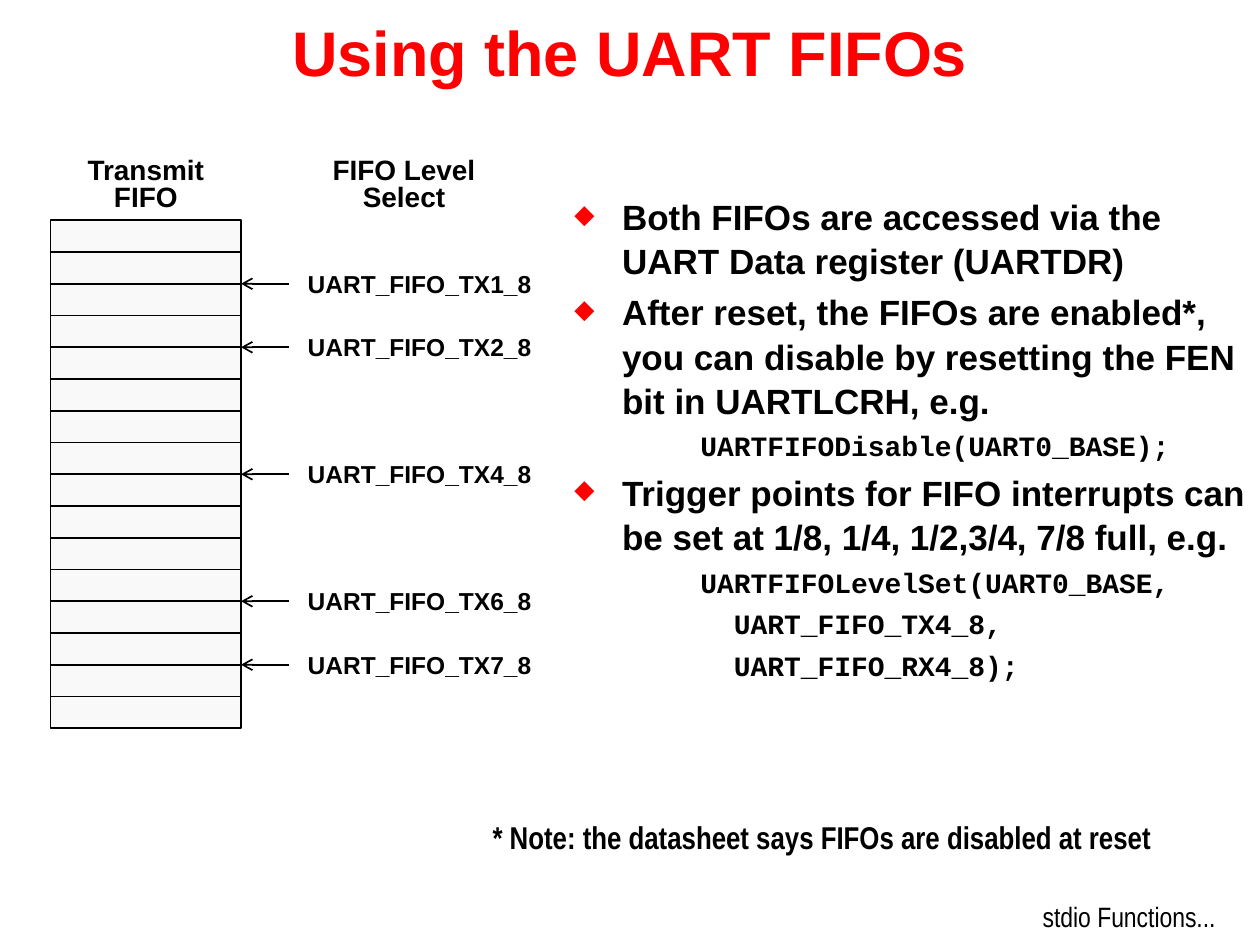
from dataclasses import dataclass

from lxml import etree
from pptx import Presentation
from pptx import util as u
from pptx.dml.color import RGBColor
from pptx.enum import shapes, text
from pptx.oxml import ns


@dataclass(frozen=True)
class Theme:
    black: str = "000000"
    red: str = "FF0000"
    cell: str = "F9F9F9"
    sans: str = "Arial"
    narrow: str = "Arial Narrow"
    mono: str = "Courier New"
    title: int = 36
    body: int = 20
    note: int = 18
    small: int = 16
    label: int = 14


def apply(target, values):
    for name, value in values.items():
        setattr(target, name, value)


def add_xml(parent, tag, **attributes):
    return etree.SubElement(parent, ns.qn(tag), attributes)


class SlideBuilder:
    def __init__(self, slide, theme):
        self.slide = slide
        self.theme = theme

    def box(self, left, top, width, height, **frame_format):
        shape = self.slide.shapes.add_textbox(*map(u.Cm, (left, top, width, height)))
        apply(shape.text_frame, {
            "word_wrap": True,
            "auto_size": text.MSO_AUTO_SIZE.NONE,
            "vertical_anchor": text.MSO_ANCHOR.MIDDLE,
            **frame_format,
        })
        return shape.text_frame

    def add_words(self, paragraph, words, size, name=None, bold=True, color=None,
                  **paragraph_format):
        apply(paragraph, paragraph_format)
        run = paragraph.add_run()
        run.text = words
        apply(run.font, {"size": u.Pt(size), "name": name or self.theme.sans, "bold": bold})
        run.font.color.rgb = RGBColor.from_string(color or self.theme.black)

    def caption(self, place, words, size, **formats):
        frame = self.box(*place, auto_size=text.MSO_AUTO_SIZE.SHAPE_TO_FIT_TEXT)
        self.add_words(frame.paragraphs[0], words, size,
                       **{"alignment": text.PP_ALIGN.CENTER, "line_spacing": 0.8, **formats})
        return frame

    def bullet(self, paragraph, indent):
        properties = paragraph._p.get_or_add_pPr()
        properties.set("marL", str(indent))
        properties.set("indent", str(-indent))
        color = add_xml(properties, "a:buClr")
        add_xml(color, "a:srgbClr", val=self.theme.red)
        add_xml(properties, "a:buSzPct", val="75000")
        add_xml(properties, "a:buChar", char="◆")

    def body(self, place, items):
        frame = self.box(*place, vertical_anchor=text.MSO_ANCHOR.TOP)
        for index, (kind, words) in enumerate(items):
            paragraph = frame.add_paragraph() if index else frame.paragraphs[0]
            if kind == "bullet":
                self.bullet(paragraph, u.Cm(0.96))
                size, name, before = self.theme.body, self.theme.sans, 4
            else:
                paragraph._p.get_or_add_pPr().set("marL", str(u.Cm(2.54)))
                size, name, before = self.theme.small, self.theme.mono, 3.5
            self.add_words(paragraph, words, size, name, line_spacing=1.05,
                           space_before=u.Pt(before if index else 0))

    def cells(self, left, top, width, height, count):
        group = self.slide.shapes.add_group_shape()
        for index in range(count):
            place = (left, top + index * height, width, height)
            shape = group.shapes.add_shape(shapes.MSO_SHAPE.RECTANGLE, *map(u.Cm, place))
            shape.shadow.inherit = False
            shape.fill.solid()
            shape.fill.fore_color.rgb = RGBColor.from_string(self.theme.cell)
            self.outline(shape.line)

    def outline(self, line):
        line.width = u.Pt(1)
        line.color.rgb = RGBColor.from_string(self.theme.black)

    def arrow(self, start, end, y):
        connector = self.slide.shapes.add_connector(
            shapes.MSO_CONNECTOR.STRAIGHT, *map(u.Cm, (start, y, end, y)))
        self.outline(connector.line)
        add_xml(connector.line._get_or_add_ln(), "a:tailEnd", type="arrow")
        add_xml(connector._element.spPr, "a:effectLst")


def main():
    theme = Theme()
    presentation = Presentation()
    apply(presentation, {"slide_width": u.Cm(25.4), "slide_height": u.Cm(19.05)})
    slide = presentation.slides.add_slide(presentation.slide_layouts[6])
    builder = SlideBuilder(slide, theme)

    title = builder.box(0, 0, 25.4, 2.06)
    builder.add_words(title.paragraphs[0], "Using the UART FIFOs", theme.title,
                      color=theme.red, alignment=text.PP_ALIGN.CENTER)

    builder.body((11.33, 3.78, 14.07, 10.39), [
        ("bullet", "Both FIFOs are accessed via the UART Data register (UARTDR)"),
        ("bullet", "After reset, the FIFOs are enabled*, you can disable by "
                   "resetting the FEN bit in UARTLCRH, e.g."),
        ("code", "UARTFIFODisable(UART0_BASE);"),
        ("bullet", "Trigger points for FIFO interrupts can be set at "
                   "1/8, 1/4, 1/2,3/4, 7/8 full, e.g."),
        ("code", "UARTFIFOLevelSet(UART0_BASE,"),
        ("code", "  UART_FIFO_TX4_8,"),
        ("code", "  UART_FIFO_RX4_8);"),
    ])

    fifo_left, fifo_top, fifo_width, cell_height = 1.02, 4.44, 3.84, 0.64
    label_left, label_height = 5.82, 0.74
    builder.cells(fifo_left, fifo_top, fifo_width, cell_height, 16)
    builder.caption((fifo_left, 3.35, fifo_width, 0.81), "Transmit FIFO", theme.small)
    builder.caption((label_left, 3.35, 4.65, 0.81), "FIFO Level Select", theme.small)
    for eighths in (1, 2, 4, 6, 7):
        level = fifo_top + 2 * eighths * cell_height
        builder.caption((label_left, level - 0.32, 5.28, label_height),
                        f"UART_FIFO_TX{eighths}_8", theme.label)
        builder.arrow(label_left, fifo_left + fifo_width, level)

    note = builder.box(9.68, 16.31, 14.88, 1.27)
    builder.add_words(note.paragraphs[0],
                      "* Note: the datasheet says FIFOs are disabled at reset",
                      theme.note, theme.narrow, line_spacing=0.8)
    footer = builder.caption((20.98, 18.24, 3.53, 0.56), "stdio Functions...", theme.small,
                             name=theme.narrow, bold=False, alignment=text.PP_ALIGN.RIGHT)
    apply(footer, {"word_wrap": False, "vertical_anchor": text.MSO_ANCHOR.BOTTOM,
                   "margin_left": 0, "margin_right": 0, "margin_top": 0, "margin_bottom": 0})

    presentation.save("out.pptx")


if __name__ == "__main__":
    main()
